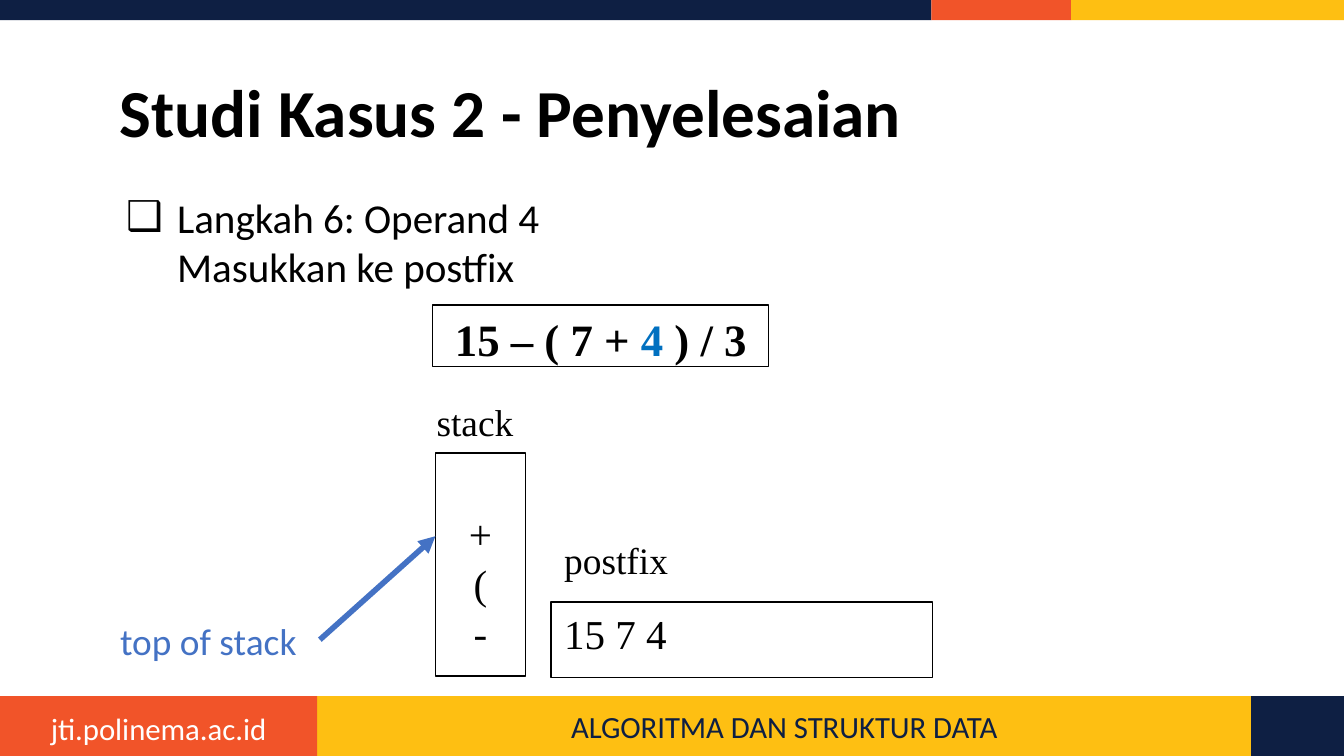
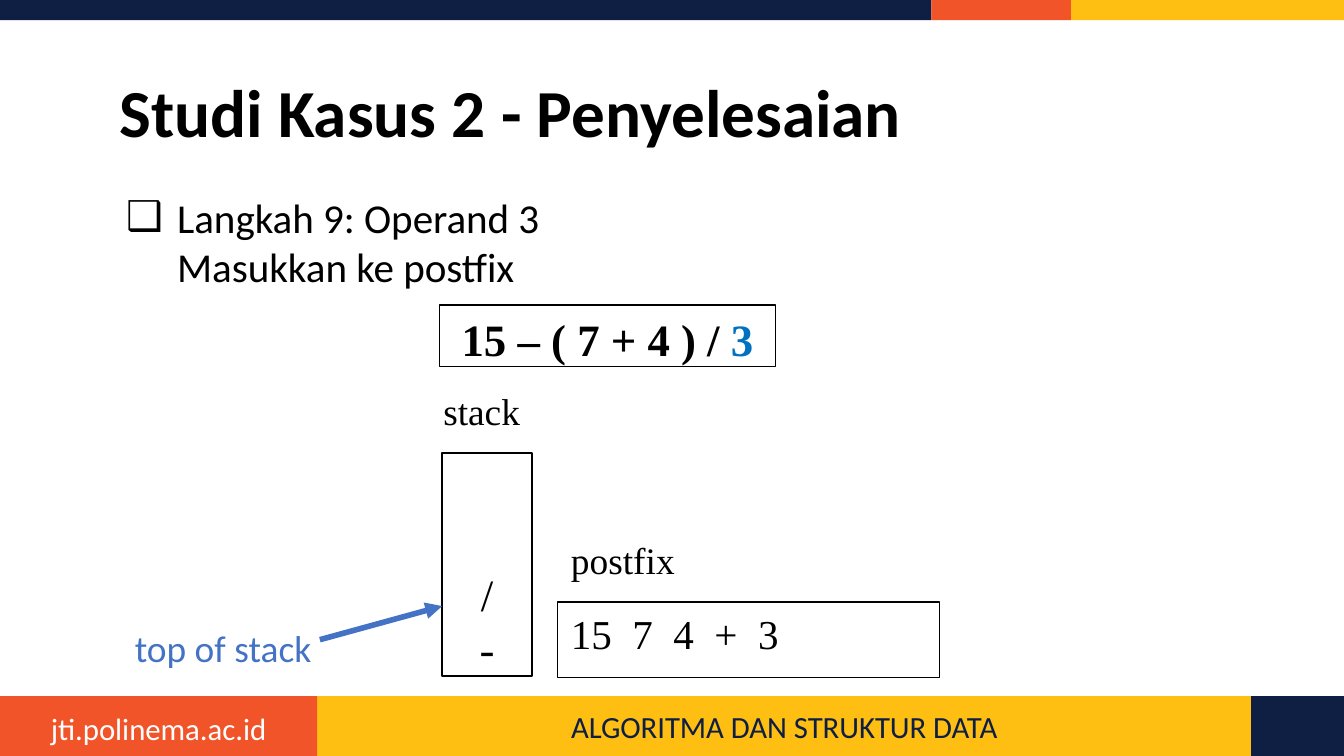
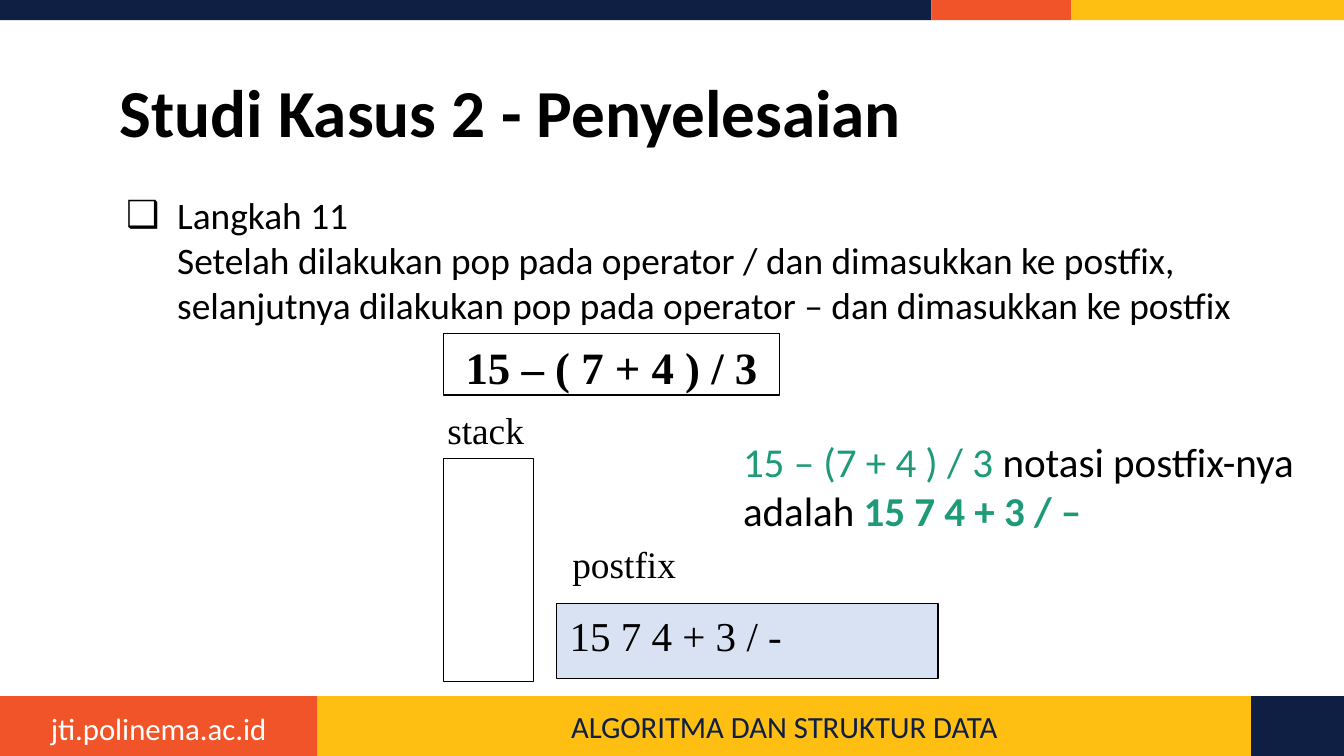
import pptx
import pptx.util
import pptx.dml.color
import pptx.enum.shapes
import pptx.enum.text
import pptx.oxml.ns
import lxml.etree

Inches = pptx.util.Inches
Pt = pptx.util.Pt
RGBColor = pptx.dml.color.RGBColor
Align = pptx.enum.text.PP_ALIGN
Anchor = pptx.enum.text.MSO_ANCHOR
qn = pptx.oxml.ns.qn

# Shared colours and fonts
NAVY = RGBColor(0x0E, 0x1F, 0x43)
ORANGE = RGBColor(0xF1, 0x54, 0x29)
YELLOW = RGBColor(0xFE, 0xBF, 0x12)
BLACK = RGBColor(0, 0, 0)
WHITE = RGBColor(0xFF, 0xFF, 0xFF)
BLUE = RGBColor(0x44, 0x72, 0xC4)
HIGHLIGHT = RGBColor(0x00, 0x70, 0xC0)
PALE_BLUE = RGBColor(0xD8, 0xE2, 0xF3)
GREEN = RGBColor(0x1D, 0x9A, 0x78)
SANS = "Calibri"
SERIF = "Times New Roman"
EMPTY_ROW = 1.2  # height of a free stack row as a multiple of the text size


# Basic elements
def add_spans(para, spans, size, font=SANS, color=BLACK, bold=False):
    """Each span is (text, optional dict of color, bold, spacing)."""
    for text, *extra in spans:
        style = extra[0] if extra else {}
        for index, line in enumerate(text.split("\n")):
            if index:
                para.add_line_break()
            span = para.add_run()
            span.text = line
            span.font.size = Pt(size)
            span.font.name = font
            span.font.bold = style.get("bold", bold)
            span.font.color.rgb = style.get("color", color)
            if "spacing" in style:
                span.font._element.set("spc", str(round(style["spacing"] * 100)))


def set_frame(box, side=0.1, edge=0.05, anchor=Anchor.TOP):
    frame = box.text_frame
    frame.word_wrap = True
    frame.vertical_anchor = anchor
    frame.margin_left = frame.margin_right = Inches(side)
    frame.margin_top = frame.margin_bottom = Inches(edge)
    return frame


def add_text(page, at, spans, size, align=Align.LEFT, edge=0.05, **style):
    box = page.shapes.add_textbox(*map(Inches, at))
    para = set_frame(box, edge=edge).paragraphs[0]
    para.alignment = align
    add_spans(para, spans, size, **style)
    return para


def add_box(page, at, fill, outline=None):
    box = page.shapes.add_shape(
        pptx.enum.shapes.MSO_SHAPE.RECTANGLE, *map(Inches, at))
    box.shadow.inherit = False
    box.fill.solid()
    box.fill.fore_color.rgb = fill
    if outline is None:
        box.line.fill.background()
    else:
        box.line.color.rgb = outline
        box.line.width = Pt(0.75)
    return box


def fill_box(box, spans, size, align=Align.CENTER, anchor=Anchor.TOP, **style):
    para = set_frame(box, anchor=anchor).paragraphs[0]
    para.alignment = align
    add_spans(para, spans, size, **style)


# Page frame: bands, footer, title
def add_page(deck):
    page = deck.slides.add_slide(deck.slide_layouts[6])
    for left, width, color in ((0, 6.93, NAVY), (6.93, 1.04, ORANGE),
                               (7.97, 2.03, YELLOW)):
        add_box(page, (left, 0, width, 0.15), color)
    course, _, _ = [
        add_box(page, (left, 5.18, width, 0.45), color)
        for left, width, color in ((2.36, 6.95, YELLOW), (0, 2.36, ORANGE),
                                   (9.31, 0.69, NAVY))]
    fill_box(course, [("ALGORITMA DAN STRUKTUR DATA",)], 16.5,
             anchor=Anchor.MIDDLE, color=NAVY)
    add_text(page, (0, 5.23, 2.36, 0.38), [("jti.polinema.ac.id",)], 16.5,
             Align.CENTER, color=WHITE)
    title = add_text(page, (0.79, 0.49, 8.43, 0.63),
                     [("Studi Kasus 2 - Penyelesaian",)], 36, edge=0.1, bold=True)
    title.line_spacing = 0.9
    return page


def add_step(page, text, size=22, width=8.43):
    para = add_text(page, (0.79, 1.33, width, 3.7), [(text,)], size, edge=0.1)
    props = para._p.get_or_add_pPr()
    props.set("marL", str(Inches(0.43)))
    props.set("indent", str(Inches(-0.38)))
    bullet_color = lxml.etree.SubElement(props, qn("a:buClr"))
    lxml.etree.SubElement(bullet_color, qn("a:srgbClr"), val=str(BLACK))
    lxml.etree.SubElement(props, qn("a:buFont"), typeface=SANS)
    lxml.etree.SubElement(props, qn("a:buChar"), char="❑")


# Diagram parts
def add_label(page, text, left, top, width):
    add_text(page, (left, top, width, 0.38), [(text,)], 20, font=SERIF)


def add_stack(page, left, top, label_left, label_top, items=(), size=22,
              empty_rows=0):
    box = add_box(page, (left, top, 0.67, 1.66), WHITE, BLACK)
    frame = set_frame(box)
    frame.margin_top += Pt(empty_rows * size * EMPTY_ROW)
    for index, item in enumerate(items):
        para = frame.add_paragraph() if index else frame.paragraphs[0]
        para.alignment = Align.CENTER
        add_spans(para, [(item,)], size, font=SERIF)
    add_label(page, "stack", label_left, label_top, 0.84)


def add_expression(page, left, top, spans):
    box = add_box(page, (left, top, 2.5, 0.46), WHITE, BLACK)
    fill_box(box, spans, 24, font=SERIF, bold=True)


def add_postfix(page, left, top, spans, label_left, label_top, fill=WHITE):
    box = add_box(page, (left, top, 2.84, 0.56), fill, BLACK)
    fill_box(box, spans, 22, Align.LEFT, font=SERIF)
    add_label(page, "postfix", label_left, label_top, 1.14)


def add_top_pointer(page, left, top, tip):
    add_text(page, (left, top, 1.68, 0.44), [("top of stack",)], 20,
             Align.CENTER, color=BLUE)
    arrow = page.shapes.add_connector(
        pptx.enum.shapes.MSO_CONNECTOR.STRAIGHT,
        *map(Inches, (2.38, 4.76, *tip)))
    arrow.line.color.rgb = BLUE
    arrow.line.width = Pt(3)
    lxml.etree.SubElement(arrow.line._get_or_add_ln(), qn("a:tailEnd"),
                          type="triangle")
    lxml.etree.SubElement(arrow._element.spPr, qn("a:effectLst"))


def widely_spaced(text, spacing):
    """Split text so that each space is widened by the given points."""
    spans = []
    for index, token in enumerate(text.split()):
        if index:
            spans.append((" ", {"spacing": spacing}))
        spans.append((token,))
    return spans


# Slides
def add_operand_four(deck):
    page = add_page(deck)
    add_step(page, "Langkah 6: Operand 4\nMasukkan ke postfix")
    add_stack(page, 3.24, 3.37, 3.15, 2.92, "+(-", empty_rows=1)
    add_expression(page, 3.22, 2.27, [
        ("15 – ( 7 + ",), ("4", {"color": HIGHLIGHT}), (" ) / 3",)])
    add_postfix(page, 4.1, 4.48, [("15 7 4",)], 4.1, 3.95)
    add_top_pointer(page, 0.71, 4.55, (3.24, 3.99))


def add_operand_three(deck):
    page = add_page(deck)
    add_step(page, "Langkah 9: Operand 3\nMasukkan ke postfix")
    add_stack(page, 3.29, 3.37, 3.2, 2.84, "/-", size=24, empty_rows=2)
    add_expression(page, 3.27, 2.27, [
        ("15 – ( 7 + 4 ) / ",), ("3", {"color": HIGHLIGHT})])
    add_postfix(page, 4.15, 4.48, widely_spaced("15 7 4 + 3", 5.5), 4.15, 3.95)
    add_top_pointer(page, 0.82, 4.6, (3.29, 4.51))


def add_final_result(deck):
    page = add_page(deck)
    add_step(page, "Langkah 11\nSetelah dilakukan pop pada operator / dan "
             "dimasukkan ke postfix, selanjutnya dilakukan pop pada operator – "
             "dan dimasukkan ke postfix", size=20, width=8.57)
    add_stack(page, 3.3, 3.41, 3.23, 2.98)
    add_expression(page, 3.3, 2.48, [("15 – ( 7 + 4 ) / 3",)])
    add_postfix(page, 4.14, 4.49, [("15 7 4 + 3 / -",)], 4.16, 3.98, PALE_BLUE)
    add_text(page, (5.43, 3.2, 4.38, 0.84), [
        ("15 – (7 + 4 ) / 3 ", {"color": GREEN}),
        ("notasi postfix-nya adalah ",),
        ("15 7 4 + 3 / –", {"color": GREEN, "bold": True})], 22)


def main():
    deck = pptx.Presentation()
    deck.slide_width = Inches(10)
    deck.slide_height = Inches(10 * 9 / 16)
    add_operand_four(deck)
    add_operand_three(deck)
    add_final_result(deck)
    deck.save("out.pptx")


if __name__ == "__main__":
    main()
